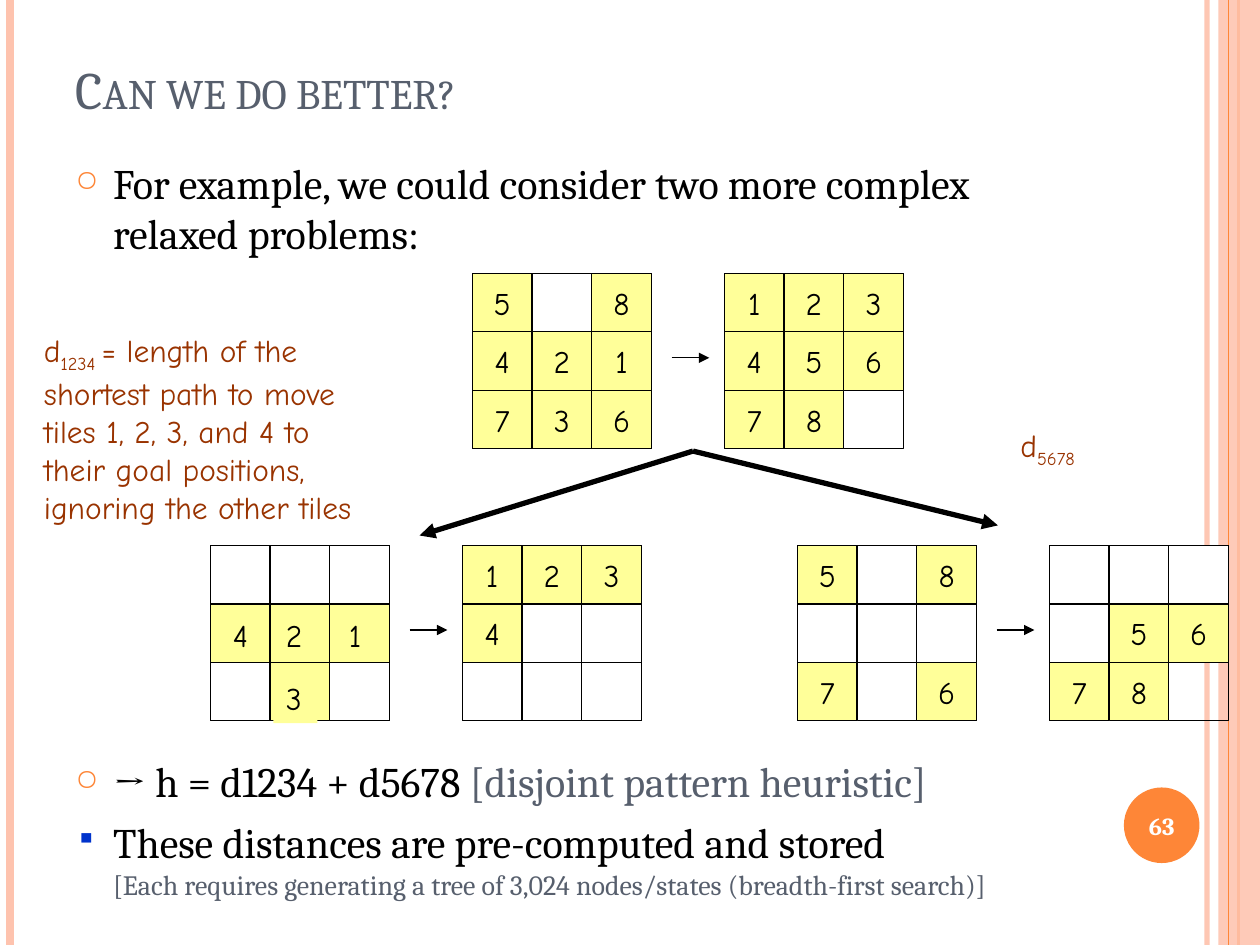
from dataclasses import dataclass

from lxml.etree import SubElement
from pptx import Presentation
from pptx.dml.color import RGBColor
from pptx.enum.shapes import MSO_CONNECTOR as Connector, MSO_SHAPE as Shape
from pptx.enum.text import MSO_ANCHOR as Anchor, PP_ALIGN as Align
from pptx.oxml.ns import qn
from pptx.util import Inches, Pt


@dataclass(frozen=True)
class Theme:
    serif: str = "Cambria"
    hand: str = "Comic Neue"
    ink: str = "000000"
    slate: str = "575F6D"
    rust: str = "993300"
    orange: str = "FE8637"
    peach: str = "FEC3AE"
    blue: str = "0033CC"
    white: str = "FFFFFF"
    tile: str = "FFFF99"
    title_size: float = 30
    body_size: float = 24
    aside_size: float = 16
    label_size: float = 18
    page_size: float = 14
    thin: float = 0.75
    thick: float = 3


THEME = Theme()


def rgb(value):
    return RGBColor.from_string(value)


def add_run(paragraph, text, size, color, font=THEME.serif, bold=False):
    run = paragraph.add_run()
    run.text = text
    for name, value in {"name": font, "size": Pt(size), "bold": bold}.items():
        setattr(run.font, name, value)
    run.font.color.rgb = rgb(color)
    return run


def set_frame(shape, anchor=Anchor.TOP, wrap=True, **margins):
    frame = shape.text_frame
    options = {"word_wrap": wrap, "vertical_anchor": anchor, **margins}
    for name, value in options.items():
        setattr(frame, name, value)
    return frame


def add_text_box(slide, box, anchor=Anchor.TOP):
    return set_frame(slide.shapes.add_textbox(*map(Inches, box)), anchor)


def add_block(slide, box, kind=Shape.RECTANGLE, fill=None, line=None, alpha=None):
    block = slide.shapes.add_shape(kind, *map(Inches, box))
    block.shadow.inherit = False
    if fill:
        block.fill.solid()
        block.fill.fore_color.rgb = rgb(fill)
        if alpha:
            color = block.fill._xPr.find(".//" + qn("a:srgbClr"))
            SubElement(color, qn("a:alpha"), val=str(alpha * 1000))
    else:
        block.fill.background()
    if line:
        block.line.color.rgb = rgb(line)
        block.line.width = Pt(THEME.thin)
    else:
        block.line.fill.background()
    return block


def add_line(slide, start, end, color, width, arrow=False, alpha=None):
    line = slide.shapes.add_connector(
        Connector.STRAIGHT, *map(Inches, (*start, *end)))
    line.line.color.rgb = rgb(color)
    line.line.width = Pt(width)
    properties = line._element.spPr
    if alpha:
        SubElement(properties.find(".//" + qn("a:srgbClr")), qn("a:alpha"),
                   val=str(alpha * 1000))
    if arrow:
        SubElement(line.line._get_or_add_ln(), qn("a:tailEnd"), type="triangle")
    SubElement(properties, qn("a:effectLst"))


def add_bullet(paragraph, mark, color):
    properties = paragraph._p.get_or_add_pPr()
    properties.set("marL", str(Inches(0.3)))
    properties.set("indent", str(-Inches(0.3)))
    SubElement(SubElement(properties, qn("a:buClr")), qn("a:srgbClr"), val=color)
    SubElement(properties, qn("a:buSzPct"), val="70000")
    SubElement(properties, qn("a:buChar"), char=mark)


def draw_side_rails(slide, height):
    def rail(x, color, width, alpha=None):
        add_line(slide, (x, 0), (x, height), color, width, alpha=alpha)

    rail(9.58, THEME.peach, 3, alpha=93)
    rail(0.08, THEME.peach, 4.5)
    rail(9.83, THEME.orange, 1.5)
    add_block(slide, (9.67, 0, 0.33, height), fill=THEME.peach, alpha=87)
    rail(9.75, THEME.orange, THEME.thin)


def draw_page_number(slide, box, number):
    badge = add_block(slide, box, Shape.OVAL, THEME.orange)
    paragraph = set_frame(badge, Anchor.MIDDLE, wrap=False).paragraphs[0]
    paragraph.alignment = Align.CENTER
    add_run(paragraph, number, THEME.page_size, THEME.white, bold=True)


def draw_title(slide, box, text):
    paragraph = add_text_box(slide, box, Anchor.BOTTOM).paragraphs[0]
    run = add_run(paragraph, text, THEME.title_size, THEME.slate)
    run._r.get_or_add_rPr().set("cap", "small")


def draw_opening(slide, box):
    paragraph = add_text_box(slide, box).paragraphs[0]
    add_bullet(paragraph, "○", THEME.orange)
    add_run(paragraph,
            "For example, we could consider two more complex relaxed problems:",
            THEME.body_size, THEME.ink)


def draw_conclusion(slide, box):
    frame = add_text_box(slide, box)
    heuristic = frame.paragraphs[0]
    add_bullet(heuristic, "○", THEME.orange)
    add_run(heuristic, "→ h = d1234 + d5678 ", THEME.body_size, THEME.ink)
    add_run(heuristic, "[disjoint pattern heuristic]", THEME.body_size, THEME.slate)

    storage = frame.add_paragraph()
    add_bullet(storage, "▪", THEME.blue)
    storage.space_before = Pt(6)
    add_run(storage, "These distances are pre-computed and stored ",
            THEME.body_size, THEME.ink)
    storage.add_line_break()
    add_run(storage, "[Each requires generating a tree of 3,024 nodes/states "
            "(breadth-first search)]", THEME.aside_size, THEME.slate)


def draw_puzzle(slide, box, rows):
    """Digit: numbered tile, *: plain tile, _: white square, space: open square."""
    left, top, width, height = box
    add_block(slide, box, line=THEME.ink)
    cell_w, cell_h = width / 3, height / 3
    for r, row in enumerate(rows):
        for c, mark in enumerate(row):
            if mark == " ":
                continue
            cell = (left + c * cell_w, top + r * cell_h, cell_w, cell_h)
            fill = THEME.white if mark == "_" else THEME.tile
            square = add_block(slide, cell, fill=fill, line=THEME.ink)
            if mark.isdigit():
                paragraph = set_frame(square, Anchor.MIDDLE, False).paragraphs[0]
                paragraph.alignment = Align.CENTER
                add_run(paragraph, mark, THEME.label_size, THEME.ink, THEME.hand)


def draw_puzzle_pair(slide, left, top, start, goal):
    width, height, pitch = 1.42, 1.39, 2
    for i, rows in enumerate((start, goal)):
        draw_puzzle(slide, (left + i * pitch, top, width, height), rows)
    arrow_y = top + 0.67
    add_line(slide, (left + 1.58, arrow_y), (left + 1.88, arrow_y),
             THEME.ink, THEME.thin, arrow=True)


def draw_loose_digits(slide, left, top):
    for digit, dx, dy in (("3", 0.5, 1.01), ("2", 0.5, 0.51),
                          ("1", 1, 0.51), ("4", 0.08, 0.51)):
        label = add_block(slide, (left + dx, top + dy, 0.35, 0.4), fill=THEME.tile)
        paragraph = set_frame(label).paragraphs[0]
        paragraph.alignment = Align.LEFT
        add_run(paragraph, digit, THEME.label_size, THEME.ink, THEME.hand)


def draw_distance_note(slide, box, subscript, lines):
    frame = add_text_box(slide, box)
    for i, text in enumerate(lines):
        paragraph = frame.paragraphs[0] if i == 0 else frame.add_paragraph()
        parts = ("d", subscript, text) if i == 0 else (text,)
        for part in filter(None, parts):
            run = add_run(paragraph, part, THEME.label_size, THEME.rust, THEME.hand)
            if part == subscript:
                run._r.get_or_add_rPr().set("baseline", "-25000")


def main():
    deck = Presentation()
    deck.slide_width, deck.slide_height = Inches(10), Inches(7.5)
    slide = deck.slides.add_slide(deck.slide_layouts[6])

    # Page furniture and text
    draw_side_rails(slide, 7.5)
    draw_page_number(slide, (8.92, 6.25, 0.6, 0.6), "63")
    draw_title(slide, (0.5, -0.25, 8.17, 1.25), "Can we do better?")
    draw_opening(slide, (0.5, 1.2, 8.17, 0.95))
    draw_conclusion(slide, (0.5, 5.95, 8.17, 1.45))

    # Full problem and its two relaxed problems
    draw_puzzle_pair(slide, 3.75, 2.17, ("5 8", "421", "736"), ("123", "456", "78 "))
    draw_puzzle_pair(slide, 1.67, 4.33, ("___", "***", "_*_"), ("123", "4__", "___"))
    draw_loose_digits(slide, 1.67, 4.33)
    draw_puzzle_pair(slide, 6.33, 4.33, ("5_8", "___", "7_6"), ("___", "_56", "78 "))
    for target in ((3.33, 4.25), (7.92, 4.17)):
        add_line(slide, (5.5, 3.58), target, THEME.ink, THEME.thick, arrow=True)

    # Distance notes
    draw_distance_note(slide, (0.25, 2.58, 2.98, 1.6), "1234 ", (
        "= length of the", "shortest path to move", "tiles 1, 2, 3, and 4 to",
        "their goal positions,", "ignoring the other tiles"))
    draw_distance_note(slide, (8, 3.33, 0.76, 0.4), "5678", ("",))

    deck.save("out.pptx")


if __name__ == "__main__":
    main()
